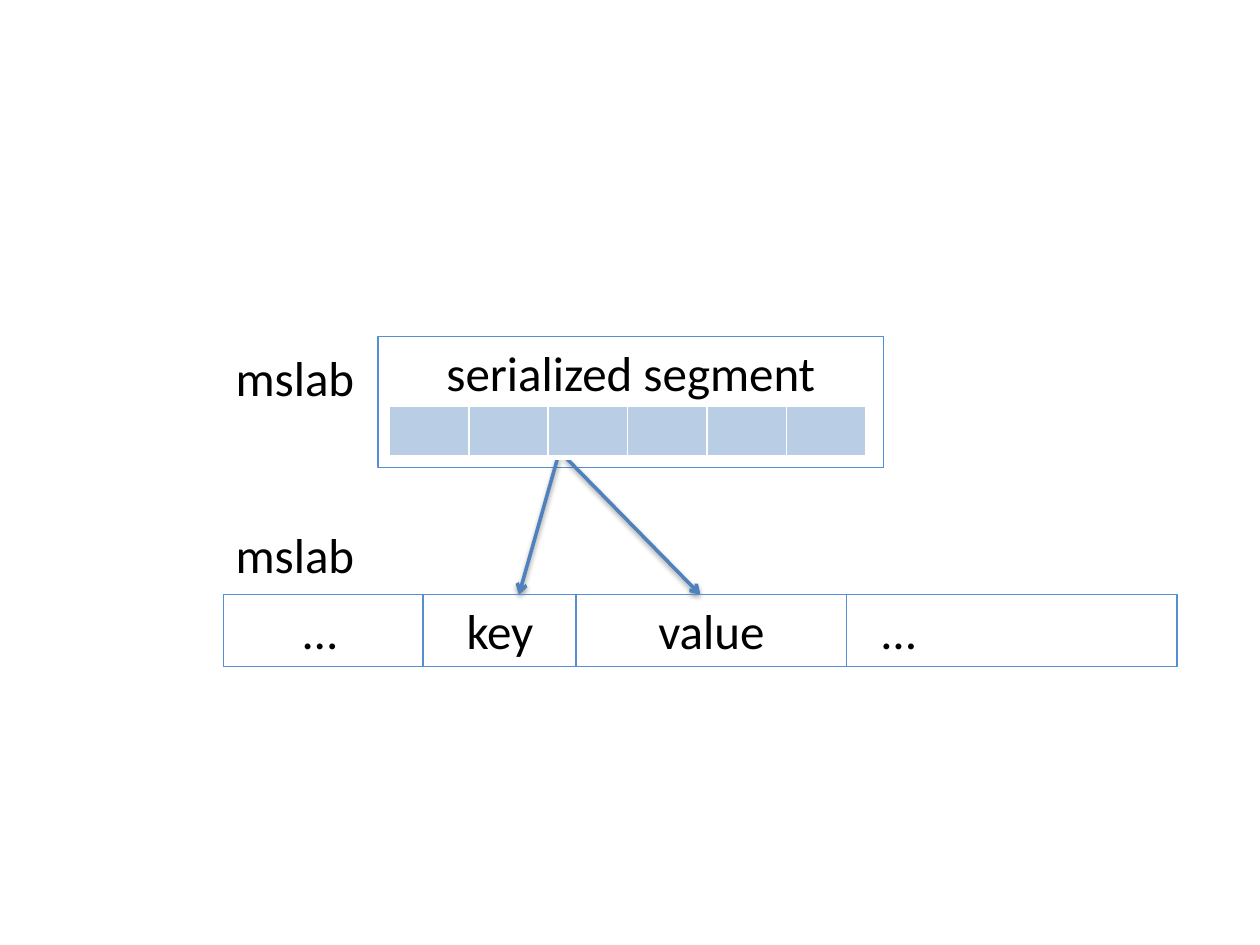
from dataclasses import dataclass

from lxml.etree import SubElement
from pptx import Presentation
from pptx.dml.color import RGBColor
from pptx.enum.shapes import MSO_CONNECTOR as Connector, MSO_SHAPE as Shape
from pptx.enum.text import MSO_ANCHOR as Anchor, PP_ALIGN as Align
from pptx.oxml import parse_xml
from pptx.oxml.ns import nsdecls, qn
from pptx.util import Cm, Pt

BLACK = RGBColor(0x00, 0x00, 0x00)
OUTLINE = RGBColor(0x55, 0x8E, 0xD5)
ARROW = RGBColor(0x4F, 0x81, 0xBD)
SLOT = RGBColor(0xB9, 0xCD, 0xE5)
FONT, FONT_SIZE = "Calibri", Pt(28)
SLOT_COUNT = 6
SLOT_WIDTH = 1.6
ROW_TOP, ROW_HEIGHT = 11.99, 1.45
ROW_LEFT = 4.5


@dataclass
class Block:
    """A text area, in centimetres."""
    texts: tuple[str, ...]
    left: float
    top: float
    width: float
    height: float = ROW_HEIGHT
    align: Align = Align.CENTER
    inset: float = 0.25


@dataclass
class Pointer:
    """An arrow from the slots down to the memory row, in centimetres."""
    start_x: float
    end_x: float


SEGMENT = Block(("serialized segment",), 7.62, 6.78, 10.19, 2.64)
LABELS = [Block(("mslab",), ROW_LEFT, top, 2.92, align=Align.LEFT)
          for top in (10.44, 6.88)]
ROW = [
    Block(("key",), 8.53, ROW_TOP, 3.1),
    Block(("value",), 11.61, ROW_TOP, 5.46),
    Block(("…", "\t…"), ROW_LEFT, ROW_TOP, 19.23, align=Align.LEFT, inset=1.61),
]
SECOND_ELLIPSIS_TAB = 11.67
POINTERS = [Pointer(11.25, 10.46), Pointer(11.38, 14.12)]


def write(shape, block: Block):
    """Fill a shape with the runs of a block and return its paragraph."""
    frame = shape.text_frame
    frame.vertical_anchor = Anchor.TOP
    frame.margin_left = Cm(block.inset)
    para = frame.paragraphs[0]
    para.alignment = block.align
    for text in block.texts:
        run = para.add_run()
        run.text = text
        run.font.name, run.font.size = FONT, FONT_SIZE
        run.font.color.rgb = BLACK
    return para


def area(block: Block) -> tuple:
    return Cm(block.left), Cm(block.top), Cm(block.width), Cm(block.height)


def add_box(slide, block: Block):
    box = slide.shapes.add_shape(Shape.RECTANGLE, *area(block))
    box.shadow.inherit = False
    box.fill.background()
    box.line.color.rgb = OUTLINE
    box.line.width = Pt(0.75)
    box.text_frame.word_wrap = True
    return write(box, block)


def add_label(slide, block: Block) -> None:
    label = slide.shapes.add_textbox(*area(block))
    label.text_frame.word_wrap = False
    write(label, block)


def add_pointer(slide, pointer: Pointer) -> None:
    arrow = slide.shapes.add_connector(
        Connector.STRAIGHT, Cm(pointer.start_x), Cm(9.2), Cm(pointer.end_x), Cm(ROW_TOP))
    arrow.line.color.rgb = ARROW
    arrow.line.width = Pt(2)
    SubElement(arrow.line._get_or_add_ln(), qn("a:tailEnd"), type="arrow")
    arrow._element.spPr.append(parse_xml(
        f'<a:effectLst {nsdecls("a")}><a:outerShdw blurRad="{Pt(3.1)}" dist="{Pt(1.6)}" '
        'dir="5400000" rotWithShape="0"><a:srgbClr val="000000"><a:alpha val="38000"/>'
        '</a:srgbClr></a:outerShdw></a:effectLst>'))


def add_slots(slide) -> None:
    table = slide.shapes.add_table(
        1, SLOT_COUNT, Cm(7.85), Cm(8.18), Cm(SLOT_COUNT * SLOT_WIDTH), Cm(1.04)).table
    table.first_row = table.horz_banding = False
    for column in table.columns:
        column.width = Cm(SLOT_WIDTH)
    for cell in table.iter_cells():
        cell.fill.solid()
        cell.fill.fore_color.rgb = SLOT
        borders = (("lnL", 1), ("lnR", 1), ("lnT", 1), ("lnB", 3))
        for index, (side, width) in enumerate(borders):
            cell._tc.get_or_add_tcPr().insert(index, parse_xml(
                f'<a:{side} {nsdecls("a")} w="{Pt(width)}"><a:solidFill>'
                f'<a:srgbClr val="FFFFFF"/></a:solidFill></a:{side}>'))


def main() -> None:
    deck = Presentation()
    deck.slide_width, deck.slide_height = Cm(25.4), Cm(19.05)
    slide = deck.slides.add_slide(deck.slide_layouts[6])

    # Serialized segment with its slots and pointers
    add_box(slide, SEGMENT)
    for pointer in POINTERS:
        add_pointer(slide, pointer)
    add_slots(slide)

    # Memory row; the last box frames the whole row
    paras = [add_box(slide, block) for block in ROW]
    tabs = SubElement(paras[-1]._p.get_or_add_pPr(), qn("a:tabLst"))
    SubElement(tabs, qn("a:tab"), pos=str(Cm(SECOND_ELLIPSIS_TAB)), algn="l")

    # Labels
    for label in LABELS:
        add_label(slide, label)

    deck.save("out.pptx")


main()
